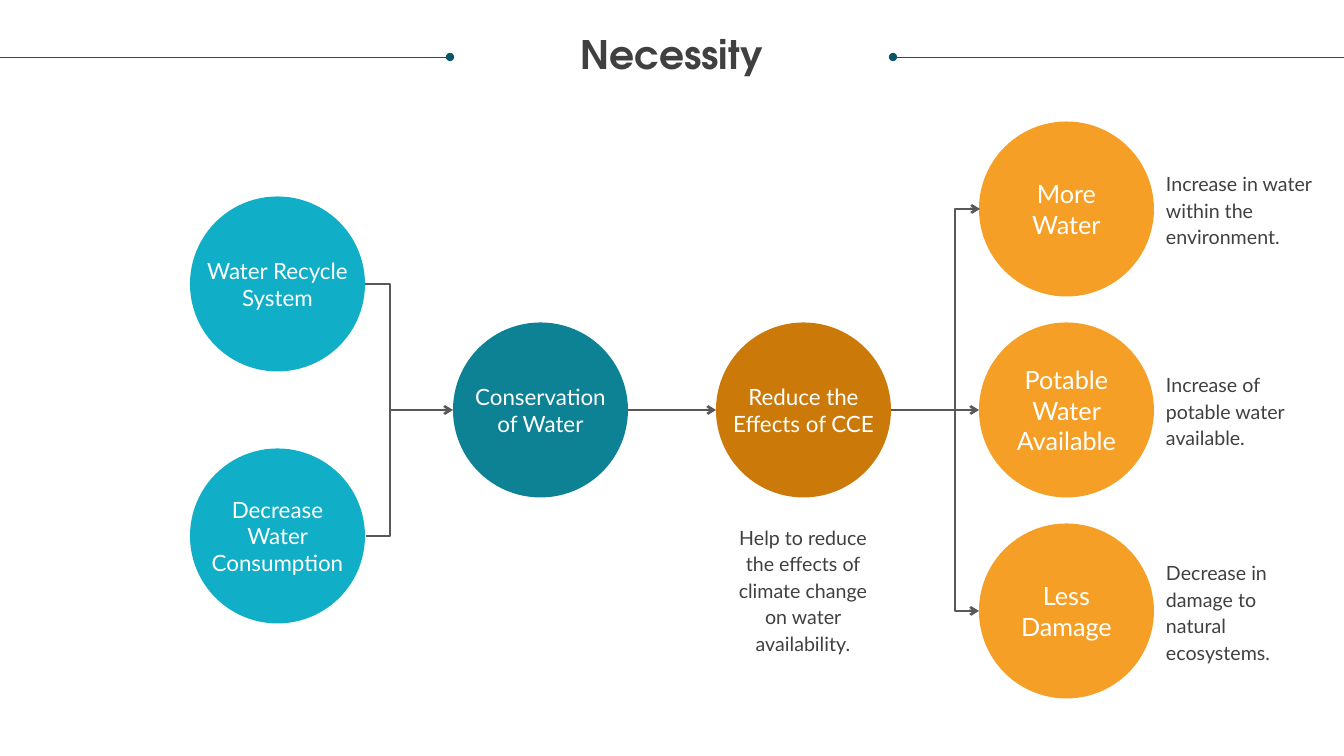
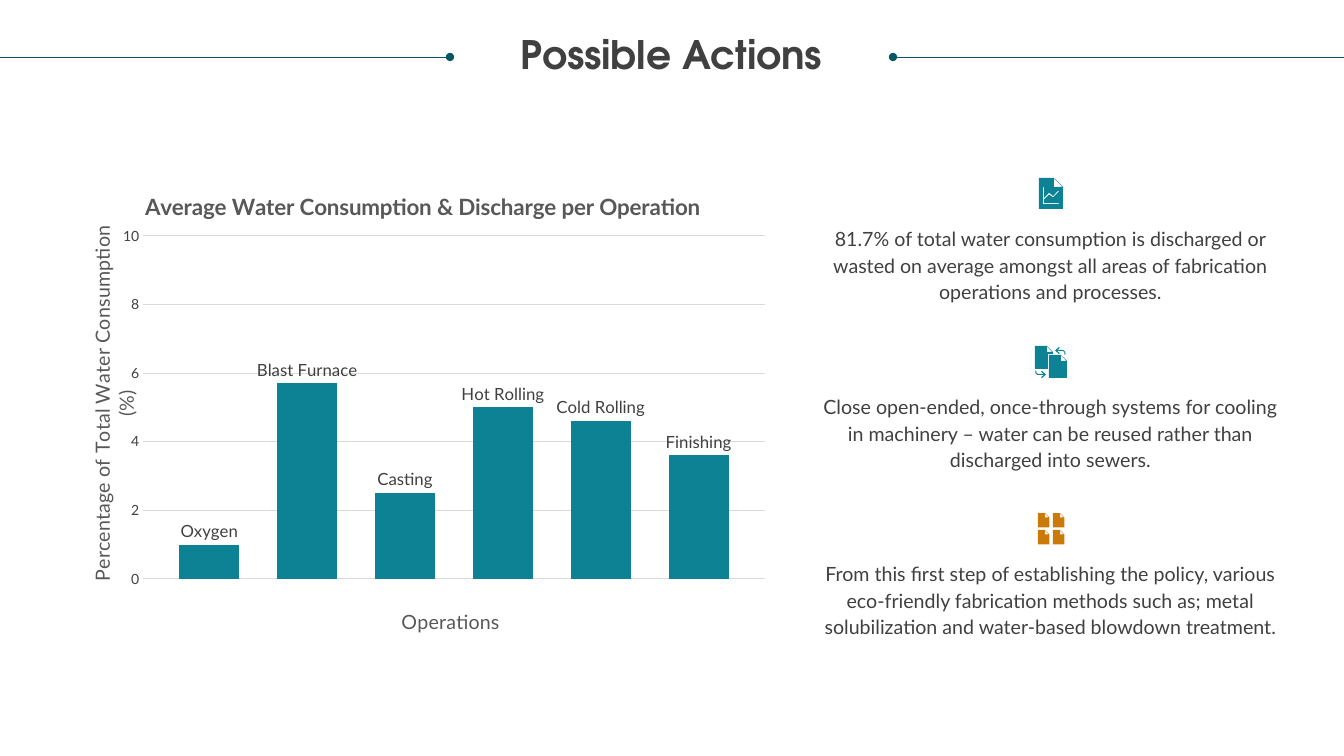
from lxml.etree import SubElement
from pptx import Presentation
from pptx.chart.data import CategoryChartData
from pptx.dml.color import RGBColor
from pptx.enum.chart import XL_CHART_TYPE, XL_LABEL_POSITION, XL_TICK_LABEL_POSITION, XL_TICK_MARK
from pptx.enum.shapes import MSO_CONNECTOR, MSO_SHAPE
from pptx.enum.text import MSO_ANCHOR, MSO_AUTO_SIZE, PP_ALIGN
from pptx.oxml.ns import qn
from pptx.util import Pt

PX = 914400 / 100.8
WIDE, HIGH = 1344, 756
HEAD, BODY = "TeX Gyre Adventor", "Lato"
INK, GREY, RULE, WHITE = "404040", "585858", "085764", "FFFFFF"
CYAN, TEAL, RUST, GOLD = "11AEC7", "0D8295", "CB7A09", "F59F26"

# Flow chart: text, column, centre y, fill
DIAM, LEFT, PITCH, MID = 175, 190, 263, 410
CAUSES = [
    ("Water Recycle System", 0, 284, CYAN),
    ("Decrease Water Consumption", 0, 536, CYAN),
    ("Conservation\nof Water", 1, MID, TEAL),
    ("Reduce the Effects of CCE", 2, MID, RUST),
]
RESULTS = [
    ("More Water", "Increase in water within the environment."),
    ("Potable Water Available", "Increase of potable water available."),
    ("Less Damage", "Decrease in damage to natural ecosystems."),
]
STEP = 201
HELP = "Help to reduce the effects of climate change on water availability."

# Chart
CHART = (57, 166, 722, 482)
PLOT = (143, 236, 622, 343)
CAPTION = "Average Water Consumption & Discharge per Operation"
SHARE = "Percentage of Total Water Consumption (%)"
BARS = [("Oxygen", 1), ("Blast Furnace", 5.7), ("Casting", 2.5),
        ("Hot Rolling", 5), ("Cold Rolling", 4.6), ("Finishing", 3.6)]
ACTIONS = [
    "81.7% of total water consumption is discharged or wasted on average "
    "amongst all areas of fabrication operations and processes.",
    "Close open-ended, once-through systems for cooling in machinery – "
    "water can be reused rather than discharged into sewers.",
    "From this first step of establishing the policy, various eco-friendly fabrication "
    "methods such as; metal solubilization and water-based blowdown treatment.",
]

# Icon outlines, in tenths of a px
AXES = [(40, 92), (50, 92), (50, 252), (200, 252), (200, 262), (40, 262)]
TREND = [(50, 200), (100, 148), (142, 180), (192, 126),
         (200, 134), (142, 194), (102, 166), (50, 216)]
HOOK = [(0, 35), (40, 0), (48, 8), (24, 30), (85, 30), (105, 50), (105, 75),
        (95, 75), (95, 52), (82, 40), (24, 40), (48, 62), (40, 70)]


def px(*nums):
    return [round(n * PX) for n in nums]


def rgb(code):
    return RGBColor.from_string(code)


def style(font, size, color, name=BODY, bold=False):
    font.name, font.size, font.bold = name, Pt(size), bold
    font.color.rgb = rgb(color)


def write(frame, text, size=14, color=INK, name=BODY, bold=False,
          align=PP_ALIGN.CENTER, anchor=MSO_ANCHOR.MIDDLE, gap=None, inset=0):
    frame.word_wrap, frame.auto_size = True, MSO_AUTO_SIZE.NONE
    frame.vertical_anchor = anchor
    frame.margin_left = frame.margin_right = px(inset)[0]
    frame.margin_top = frame.margin_bottom = px(inset / 2)[0]
    for i, part in enumerate(text.split("\n")):
        para = frame.add_paragraph() if i else frame.paragraphs[0]
        para.alignment = align
        if gap:
            para.line_spacing = gap
        run = para.add_run()
        run.text = part
        style(run.font, size, color, name, bold)


def label(slide, box, text, **fmt):
    write(slide.shapes.add_textbox(*px(*box)).text_frame, text, **fmt)


def paint(shape, color):
    shape.shadow.inherit = False
    shape.fill.solid()
    shape.fill.fore_color.rgb = rgb(color)
    shape.line.fill.background()


def link(slide, ends, color=GREY, width=1.75, head=None, tail=None, bend=None):
    """Draw a line; bend is how far an elbow reaches, in multiples of its width."""
    kind = MSO_CONNECTOR.ELBOW if bend else MSO_CONNECTOR.STRAIGHT
    line = slide.shapes.add_connector(kind, *px(*ends))
    line.line.color.rgb = rgb(color)
    line.line.width = Pt(width)
    props = line._element.spPr
    for tag, tip in (("a:headEnd", head), ("a:tailEnd", tail)):
        if tip:
            SubElement(props.find(qn("a:ln")), qn(tag), type=tip)
    SubElement(props, qn("a:effectLst"))
    if bend:
        geom = props.find(qn("a:prstGeom"))
        guides = geom.find(qn("a:avLst"))
        if guides is None:
            guides = SubElement(geom, qn("a:avLst"))
        SubElement(guides, qn("a:gd"), name="adj1", fmla=f"val {bend * 100000}")


def start(deck, title):
    """Add a slide with the shared title and its two rules."""
    slide = deck.slides.add_slide(deck.slide_layouts[5])
    head = slide.shapes.title
    head.left, head.top, head.width, head.height = px(25, 36, 1293, 42)
    write(head.text_frame, title, size=28, name=HEAD, bold=True,
          anchor=MSO_ANCHOR.TOP, gap=0.9)
    link(slide, (0, 57, 450, 57), RULE, 0.5, tail="oval")
    link(slide, (893, 57, WIDE, 57), RULE, 0.5, head="oval")
    return slide


def circle(slide, col, mid, color):
    box = px(LEFT + col * PITCH, mid - DIAM / 2, DIAM, DIAM)
    shape = slide.shapes.add_shape(MSO_SHAPE.OVAL, *box)
    paint(shape, color)
    return shape


def flow(deck):
    slide = start(deck, "Necessity")
    edge = [LEFT + col * PITCH for col in range(4)]
    for text, col, mid, color in CAUSES:
        circle(slide, col, mid, color)
        label(slide, (edge[col] + 12, mid - 45, 151, 90), text, size=16, color=WHITE)
    mids = [MID + (i - 1) * STEP for i in range(len(RESULTS))]
    for (text, note), mid in zip(RESULTS, mids):
        write(circle(slide, 3, mid, GOLD).text_frame, text, size=18, color=WHITE, inset=10)
        label(slide, (1166, mid - 50, 148, 100), note, align=PP_ALIGN.LEFT, gap=Pt(19))
    label(slide, (729, 523, 148, 132), HELP, gap=Pt(19))

    out = edge[0] + DIAM
    link(slide, (out, CAUSES[0][2], out + 1, CAUSES[1][2]), bend=25)
    for x, end in zip((out + 25, edge[1] + DIAM, edge[2] + DIAM), edge[1:]):
        link(slide, (x, MID, end, MID), tail="arrow")
    link(slide, (edge[3] + 1, mids[0], edge[3], mids[-1]),
         head="arrow", tail="arrow", bend=25)


def place(part, at, x, y, w=None, h=None):
    """Fix a chart part at a px position on the slide; at is where its layout goes."""
    lay = part.find(qn("c:layout"))
    if lay is None:
        lay = SubElement(part, qn("c:layout"))
        part.insert(at, lay)
    hand = SubElement(lay, qn("c:manualLayout"))
    left, top, wide, high = CHART
    vals = {"xMode": "edge", "yMode": "edge",
            "x": round((x - left) / wide, 4), "y": round((y - top) / high, 4)}
    if w:
        vals = {"layoutTarget": "inner", **vals,
                "w": round(w / wide, 4), "h": round(h / high, 4)}
    for key, val in vals.items():
        SubElement(hand, qn("c:" + key), val=str(val))


def name(title, text, x, y, size=14, bold=False):
    """Fill a chart or axis title and put it in place."""
    para = title.text_frame.paragraphs[0]
    run = para.add_run()
    run.text = text
    style(run.font, size, GREY, bold=bold)
    place(title._element, 1, x, y)


def graph(slide):
    data = CategoryChartData()
    data.categories = ["1"]
    for i, (_, val) in enumerate(BARS, 1):
        data.add_series(f"Series {i}", [val])
    chart = slide.shapes.add_chart(
        XL_CHART_TYPE.COLUMN_CLUSTERED, *px(*CHART), data).chart
    style(chart.font, 10, INK)
    chart.has_legend = False
    chart.has_title = True
    name(chart.chart_title, CAPTION, 141, 187, size=16, bold=True)
    place(chart._chartSpace.chart.plotArea, 0, *PLOT)

    plot = chart.plots[0]
    plot.gap_width, plot.overlap, plot.vary_by_categories = 121, -63, False
    for (text, _), bar in zip(BARS, plot.series):
        bar.format.fill.solid()
        bar.format.fill.fore_color.rgb = rgb(TEAL)
        tag = bar.points[0].data_label
        run = tag.text_frame.paragraphs[0].add_run()
        run.text = text
        style(run.font, 12, INK)
        tag.position = XL_LABEL_POSITION.OUTSIDE_END

    axis = chart.value_axis
    axis.minimum_scale, axis.maximum_scale, axis.major_unit = 0, 10, 2
    axis.major_tick_mark = XL_TICK_MARK.NONE
    axis.format.line.fill.background()
    grid = axis.major_gridlines.format.line
    grid.color.rgb, grid.width = rgb("D9D9D9"), Pt(0.75)
    name(axis.axis_title, SHARE, 84, 222)
    for body in axis.axis_title._element.iter(qn("a:bodyPr")):
        body.set("rot", "-5400000")
        body.set("vert", "horz")

    base = chart.category_axis
    base.tick_label_position = XL_TICK_LABEL_POSITION.NONE
    base.major_tick_mark = XL_TICK_MARK.NONE
    base.format.line.fill.background()
    name(base.axis_title, "Operations", 398, 604)


def page(w, h, fold, notch=None):
    """Outline and folded corner of a sheet; notch cuts its lower right."""
    foot = [(w, h)]
    if notch:
        x, y = notch
        foot = [(w, y), (x, y), (x, h)]
    rim = [(0, 0), (w - fold, 0), (w, fold), *foot, (0, h)]
    return [rim, [(w - fold, 5), (w - fold, fold), (w - 5, fold)]]


def icon(slide, x, y, color, lines, sign=1):
    """Draw outlines as one shape; sign -1 turns them half round."""
    form = None
    for line in lines:
        pts = [(x * 10 + sign * a, y * 10 + sign * b) for a, b in line]
        if form is None:
            form = slide.shapes.build_freeform(*pts[0], scale=PX / 10)
        else:
            form.move_to(*pts[0])
        form.add_line_segments(pts[1:], close=True)
    paint(form.convert_to_shape(), color)


def actions(deck):
    slide = start(deck, "Possible Actions")
    graph(slide)
    for i, text in enumerate(ACTIONS):
        label(slide, (815, 224 + round(167.5 * i), 471, 79), text,
              anchor=MSO_ANCHOR.TOP, gap=Pt(19))
    icon(slide, 1039, 178, TEAL, page(240, 310, 90) + [AXES, TREND])
    icon(slide, 1035, 346, TEAL, page(180, 230, 60, notch=(130, 80)))
    icon(slide, 1049, 355, TEAL, page(180, 230, 60))
    icon(slide, 1055, 347, TEAL, [HOOK])
    icon(slide, 1046, 378, TEAL, [HOOK], sign=-1)
    for x in (1038, 1053):
        for y in (513, 530):
            icon(slide, x, y, RUST, page(115, 145, 45))


def main():
    deck = Presentation()
    deck.slide_width, deck.slide_height = px(WIDE, HIGH)
    flow(deck)
    actions(deck)
    deck.save("out.pptx")


if __name__ == "__main__":
    main()
